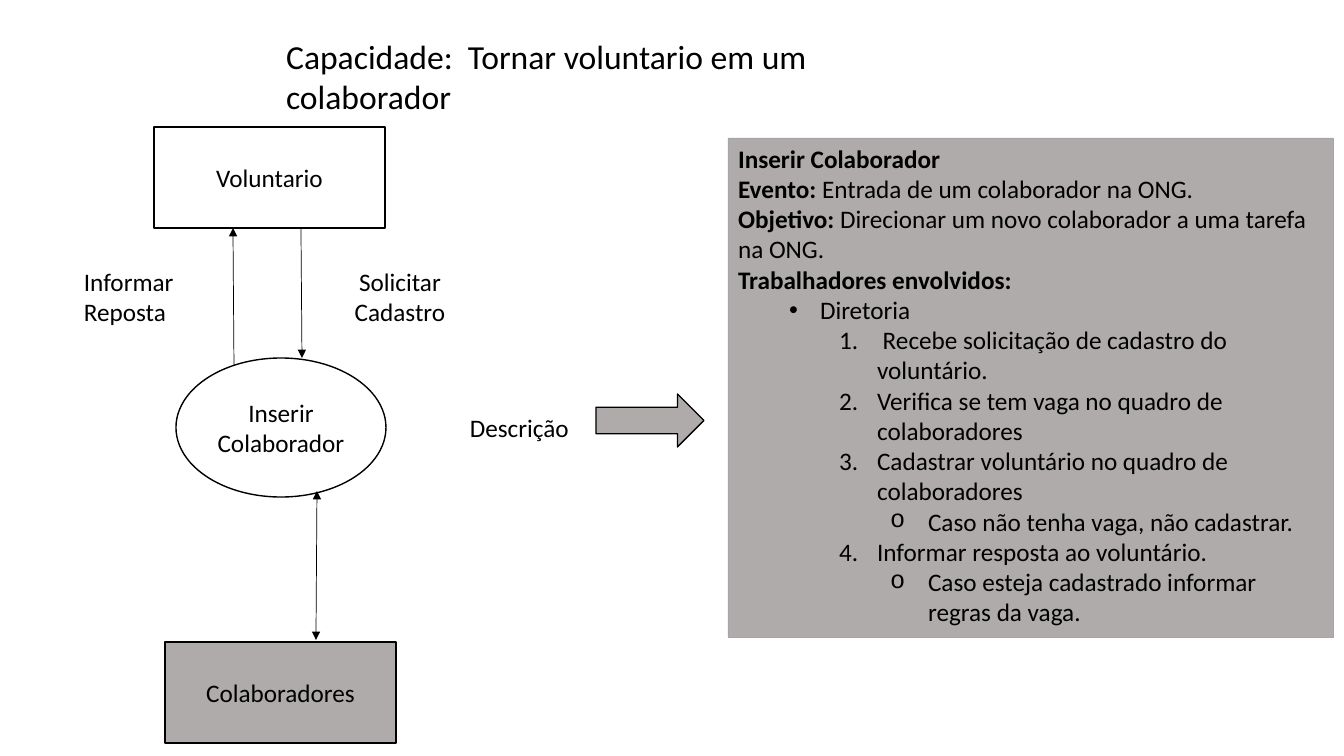
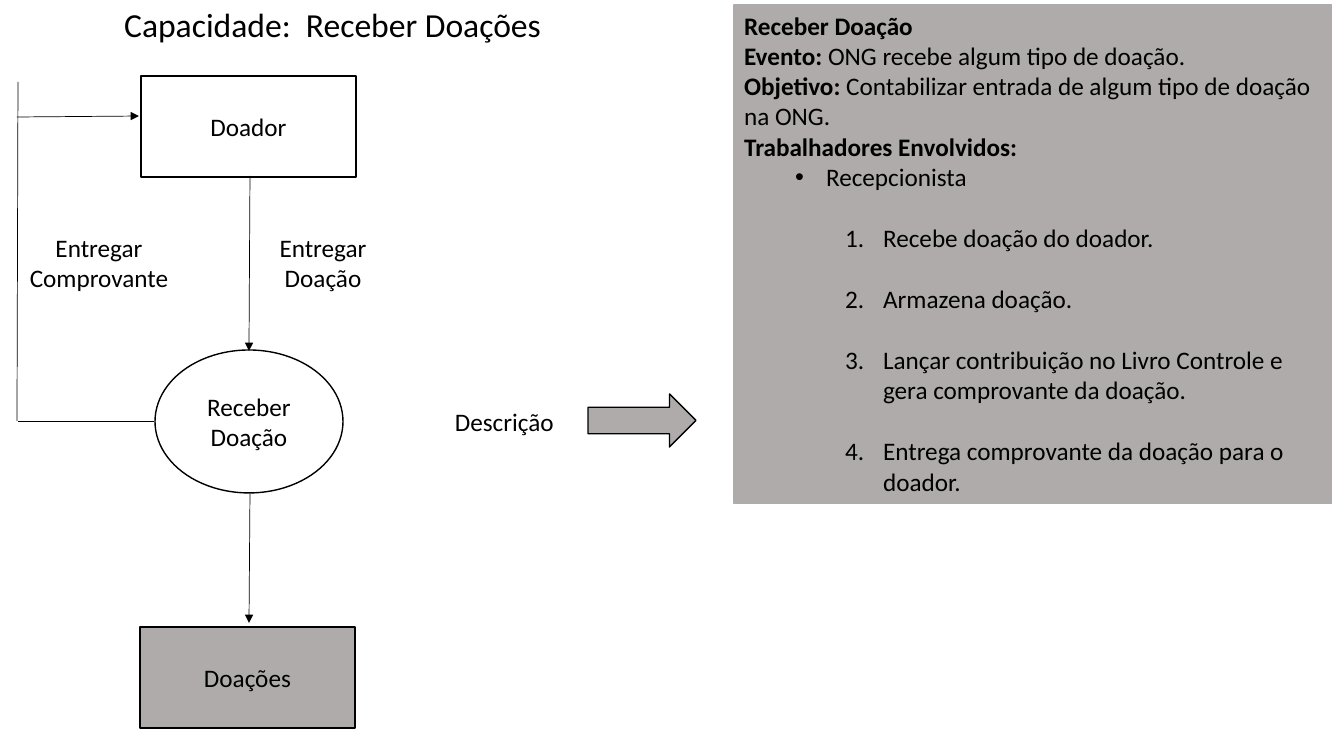
from dataclasses import dataclass

from lxml import etree
from pptx import Presentation
from pptx.dml.color import RGBColor
from pptx.enum.shapes import MSO_CONNECTOR, MSO_SHAPE
from pptx.enum.text import MSO_ANCHOR, MSO_AUTO_SIZE, PP_ALIGN
from pptx.oxml.ns import qn
from pptx.util import Emu, Pt

RECT, OVAL, ARROW = MSO_SHAPE.RECTANGLE, MSO_SHAPE.OVAL, MSO_SHAPE.RIGHT_ARROW
LINE = MSO_CONNECTOR.STRAIGHT
TOP, MIDDLE = MSO_ANCHOR.TOP, MSO_ANCHOR.MIDDLE
LEFT, CENTER = PP_ALIGN.LEFT, PP_ALIGN.CENTER
FIXED = MSO_AUTO_SIZE.NONE

HEAD, ROLE, STEP, NOTE = range(4)
LEVELS = {
    HEAD: (0, 0, None, "buNone", {}),
    ROLE: (82, -31, "Arial", "buChar", {"char": "•"}),
    STEP: (139, -38, "Calibri", "buAutoNum", {"type": "arabicPeriod"}),
    NOTE: (190, -38, "Courier New", "buChar", {"char": "o"}),
}


@dataclass(frozen=True)
class Theme:
    """Colours, font and type sizes shared by the slides."""
    font: str = "Calibri"
    ink: str = "000000"
    paper: str = "FFFFFF"
    grey: str = "AFABAB"
    edge: str = "A5A5A5"
    title: int = 24
    body: int = 18
    border: float = 1
    thin: float = 0.5


THEME = Theme()


def px(num):
    """Turn pixels into EMU."""
    return Emu(round(num * 914400 / 100.8))


def place(shape, box):
    """Move and size a shape to a pixel box."""
    shape.left, shape.top, shape.width, shape.height = map(px, box)


def paint(shape, fill, line, width):
    """Set the fill and outline of a shape."""
    shape.fill.solid()
    shape.fill.fore_color.rgb = RGBColor.from_string(fill)
    shape.line.color.rgb = RGBColor.from_string(line)
    shape.line.width = Pt(width)


def style(para, size, align):
    """Set the font and alignment of a paragraph."""
    para.alignment = align
    para.font.name = THEME.font
    para.font.size = Pt(size)
    para.font.color.rgb = RGBColor.from_string(THEME.ink)


def write(frame, text, size=THEME.body, align=CENTER, anchor=MIDDLE):
    """Fill a text frame with one paragraph per line."""
    frame.text = text
    frame.word_wrap = True
    frame.auto_size = FIXED
    frame.vertical_anchor = anchor
    for para in frame.paragraphs:
        style(para, size, align)


def head(slide, text, box):
    """Fill and move the slide title."""
    title = slide.shapes.title
    place(title, box)
    write(title.text_frame, text, THEME.title, LEFT, TOP)


def node(slide, kind, box, text="", fill=THEME.paper):
    """Add an outlined shape, with centred text if given."""
    shape = slide.shapes.add_shape(kind, *map(px, box))
    shape.shadow.inherit = False
    paint(shape, fill, THEME.ink, THEME.border)
    if text:
        write(shape.text_frame, text)


def label(slide, box, text, align=CENTER):
    """Add a plain text label."""
    shape = slide.shapes.add_textbox(*map(px, box))
    write(shape.text_frame, text, align=align, anchor=TOP)


def link(slide, ends, tips=("tailEnd",)):
    """Add a thin line with arrowheads at the named tips."""
    line = slide.shapes.add_connector(LINE, *map(px, ends))
    line.line.color.rgb = RGBColor.from_string(THEME.ink)
    line.line.width = Pt(THEME.thin)
    props = line._element.spPr
    for tip in tips:
        etree.SubElement(props.find(qn("a:ln")), qn(f"a:{tip}"), type="triangle")
    etree.SubElement(props, qn("a:effectLst"))


def bullet(para, level):
    """Give a paragraph the indent and marker of its level."""
    left, hang, font, tag, attrs = LEVELS[level]
    para.level = level
    props = para._p.get_or_add_pPr()
    props.set("marL", str(px(left)))
    props.set("indent", str(px(hang)))
    if font:
        etree.SubElement(props, qn("a:buFont"), typeface=font)
    etree.SubElement(props, qn(f"a:{tag}"), attrs)


def panel(slide, box, rows, edge, width, gap=0):
    """Fill the body placeholder with a description list."""
    body = slide.placeholders[1]
    place(body, box)
    paint(body, THEME.grey, edge, width)
    frame = body.text_frame
    write(frame, "\n".join([""] * len(rows)), align=LEFT, anchor=TOP)
    for para, (level, lead, rest) in zip(frame.paragraphs, rows):
        bullet(para, level)
        style(para, THEME.body, LEFT)
        para.space_before = Pt(gap if level == STEP else 0)
        para.line_spacing = 1.0
        if lead and rest:
            para.add_run().text = lead
            para.runs[0].font.bold = True
        else:
            para.font.bold = bool(lead)
        para.add_run().text = rest or lead


def pointer(slide, left, text):
    """Add the description label and its block arrow."""
    label(slide, text, "Descrição", LEFT)
    node(slide, ARROW, (left, 394, 108, 53), fill=THEME.grey)


def enrol(slide):
    """Build the slide on enrolling a volunteer."""
    head(slide, "Capacidade:\u00a0 Tornar voluntario em um colaborador", (276, 31, 547, 92))
    panel(slide, (728, 138, 605, 499), [
        (HEAD, "Inserir Colaborador", ""),
        (HEAD, "Evento:", "\u00a0Entrada de um colaborador na ONG."),
        (HEAD, "Objetivo: ", "Direcionar um\u00a0novo colaborador a uma tarefa na ONG."),
        (HEAD, "Trabalhadores envolvidos:", ""),
        (ROLE, "", "Diretoria"),
        (STEP, "", " Recebe solicitação de cadastro do voluntário."),
        (STEP, "", "Verifica se tem vaga no quadro de colaboradores"),
        (STEP, "", "Cadastrar voluntário no quadro de colaboradores"),
        (NOTE, "", "Caso não tenha vaga, não cadastrar."),
        (STEP, "", "Informar resposta ao voluntário."),
        (NOTE, "", "Caso esteja cadastrado informar regras da vaga."),
    ], THEME.edge, 0.5)
    node(slide, RECT, (154, 127, 231, 101), "Voluntario")
    node(slide, OVAL, (176, 358, 210, 139), "Inserir\nColaborador")
    node(slide, RECT, (165, 642, 231, 101), "Colaboradores", THEME.grey)
    link(slide, (301, 228, 302, 358))
    link(slide, (234, 366, 233, 228))
    link(slide, (317, 491, 316, 640), ("headEnd", "tailEnd"))
    label(slide, (74, 261, 150, 72), "Informar Reposta", LEFT)
    label(slide, (325, 261, 150, 72), "Solicitar\nCadastro")
    pointer(slide, 596, (460, 407, 302, 40))


def donate(slide):
    """Build the slide on receiving donations."""
    head(slide, "Capacidade:\u00a0 Receber Doações", (114, -1, 547, 50))
    panel(slide, (734, 5, 598, 499), [
        (HEAD, "Receber Doação", ""),
        (HEAD, "Evento: ", "ONG recebe algum tipo de doação."),
        (HEAD, "Objetivo: ", "Contabilizar entrada de algum tipo de doação na ONG."),
        (HEAD, "Trabalhadores Envolvidos:", ""),
        (ROLE, "", "Recepcionista"),
        (STEP, "", "Recebe doação do doador."),
        (STEP, "", "Armazena doação."),
        (STEP, "", "Lançar contribuição no Livro Controle e gera comprovante da doação."),
        (STEP, "", "Entrega comprovante da doação para o doador."),
    ], THEME.grey, 0.75, gap=22)
    node(slide, RECT, (141, 76, 215, 101), "Doador")
    node(slide, OVAL, (155, 350, 188, 143), "Receber\nDoação")
    node(slide, RECT, (140, 627, 215, 101), "Doações", THEME.grey)
    link(slide, (250, 176, 249, 351))
    link(slide, (250, 494, 249, 623))
    link(slide, (17, 117, 139, 116))
    link(slide, (18, 82, 17, 421), ())
    link(slide, (18, 421, 154, 421), ())
    label(slide, (9, 227, 180, 72), "Entregar Comprovante")
    label(slide, (256, 227, 134, 72), "Entregar Doação")
    pointer(slide, 588, (445, 401, 302, 40))


def main():
    """Build and save the presentation."""
    deck = Presentation()
    deck.slide_width, deck.slide_height = px(1344), px(756)
    for build in (enrol, donate):
        build(deck.slides.add_slide(deck.slide_layouts[1]))
    deck.save("out.pptx")


main()
